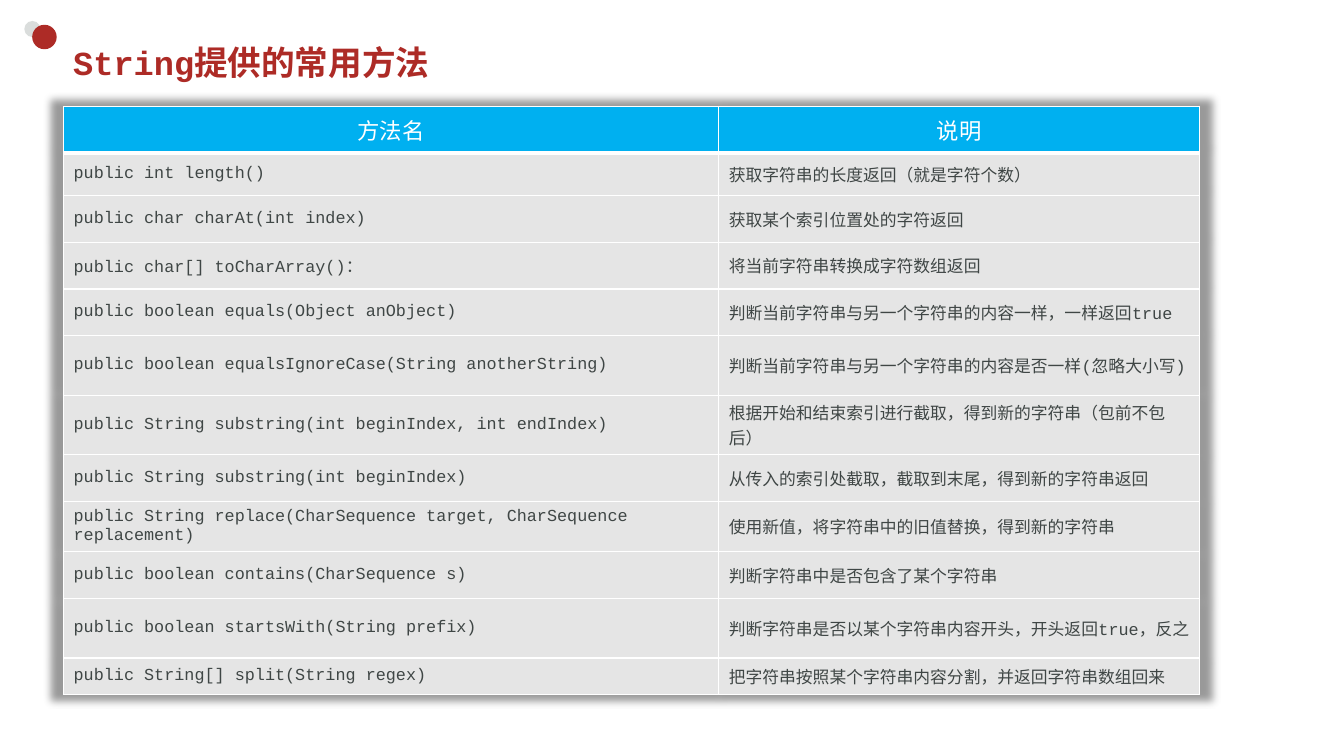
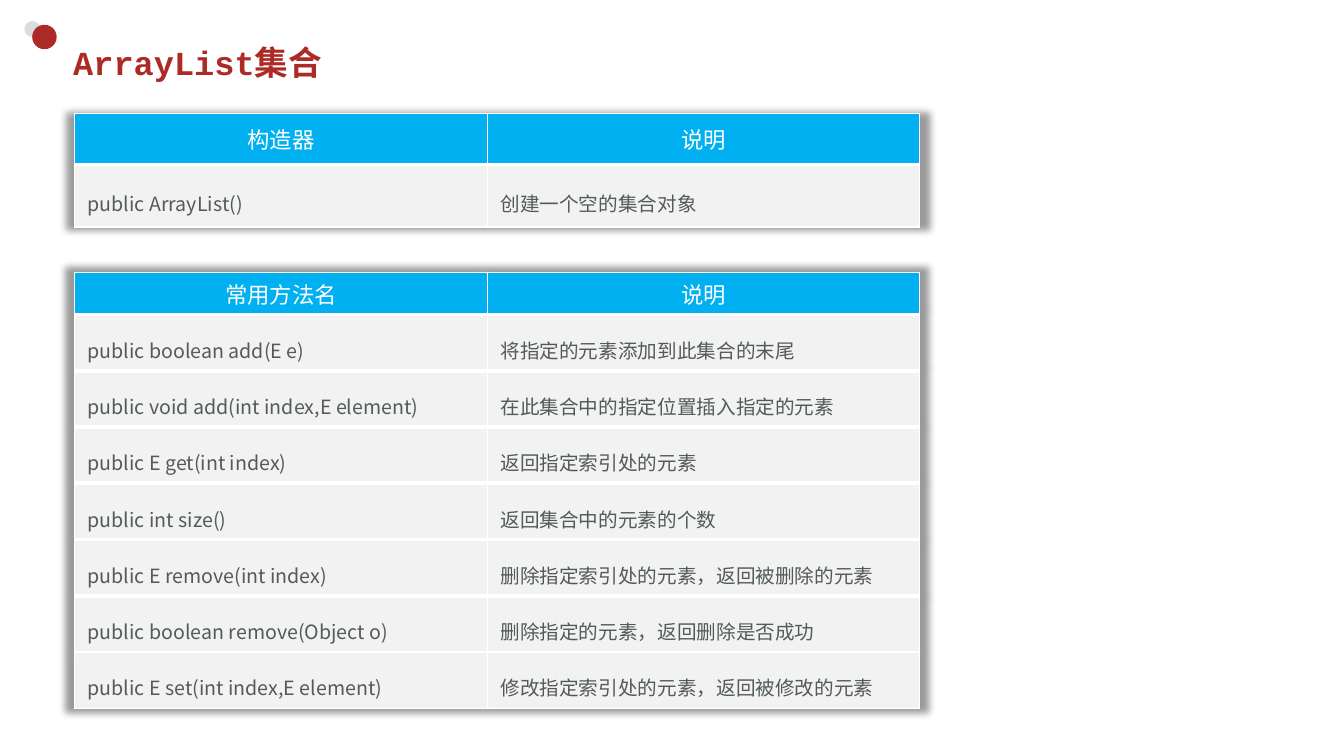
from lxml import etree
from pptx import Presentation
from pptx.dml.color import RGBColor
from pptx.enum.lang import MSO_LANGUAGE_ID as LANG
from pptx.enum.shapes import MSO_SHAPE as SHAPE
from pptx.enum.text import MSO_ANCHOR as ANCHOR, PP_ALIGN as ALIGN
from pptx.oxml import parse_xml
from pptx.oxml.ns import nsdecls, qn
from pptx.util import Pt

# Shared colours and fonts
RED, GREY, WHITE, BLUE = "AD2B26", "DADDDC", "FFFFFF", "00B0F0"
MONO, SANS, HEAD = "Courier New", "Noto Sans CJK JP", "Calibri"

# Body formats of the tables
CODE_BODY = dict(fill="E5E5E5", inset=(7.2, 3.6),
                 text=dict(font=MONO, size=12, color="3F4645"))
PLAIN_BODY = dict(fill="F2F2F2", inset=(9.4, 4.8),
                  text=dict(font=SANS, size=14, color="525B5A", spacing=1.5))

# Heights of code rows with one line and with a wrapped description
SINGLE, WRAPPED = 33.5, 42.4

STRING_METHODS = [
    ("方法名", "说明"),
    ("public int length()", "获取字符串的长度返回（就是字符个数）"),
    ("public char charAt(int index)", "获取某个索引位置处的字符返回"),
    ("public char[] toCharArray()：", "将当前字符串转换成字符数组返回"),
    ("public boolean equals(Object anObject)",
     "判断当前字符串与另一个字符串的内容一样，一样返回true"),
    ("public boolean equalsIgnoreCase(String anotherString)",
     "判断当前字符串与另一个字符串的内容是否一样(忽略大小写)"),
    ("public String substring(int beginIndex, int endIndex)",
     "根据开始和结束索引进行截取，得到新的字符串（包前不包后）"),
    ("public String substring(int beginIndex)",
     "从传入的索引处截取，截取到末尾，得到新的字符串返回"),
    ("public String replace(CharSequence target, CharSequence replacement)",
     "使用新值，将字符串中的旧值替换，得到新的字符串"),
    ("public boolean contains(CharSequence s)", "判断字符串中是否包含了某个字符串"),
    ("public boolean startsWith(String prefix)",
     "判断字符串是否以某个字符串内容开头，开头返回true，反之"),
    ("public String[] split(String regex)",
     "把字符串按照某个字符串内容分割，并返回字符串数组回来"),
]

CONSTRUCTORS = [
    ("构造器", "说明"),
    ("public ArrayList()", "创建一个空的集合对象"),
]

LIST_METHODS = [
    ("常用方法名", "说明"),
    ("public boolean add(E e)", "将指定的元素添加到此集合的末尾"),
    ("public void add(int index,E element)", "在此集合中的指定位置插入指定的元素"),
    ("public E get(int index)", "返回指定索引处的元素"),
    ("public int size()", "返回集合中的元素的个数"),
    ("public E remove(int index)", "删除指定索引处的元素，返回被删除的元素"),
    ("public boolean remove(Object o)", "删除指定的元素，返回删除是否成功"),
    ("public E set(int index,E element)", "修改指定索引处的元素，返回被修改的元素"),
]


def rgb(value):
    return RGBColor.from_string(value)


def write(tf, text, font=MONO, size=12, color=WHITE, bold=False,
          align=ALIGN.LEFT, spacing=None):
    p = tf.paragraphs[0]
    p.alignment = align
    if spacing:
        p.line_spacing = spacing
    r = p.add_run()
    r.text = text
    r.font.name, r.font.size, r.font.bold = font, Pt(size), bold
    r.font.color.rgb = rgb(color)
    r.font.language_id = LANG.SIMPLIFIED_CHINESE


def add_dot(slide, x, y, size, color):
    sp = slide.shapes.add_shape(SHAPE.OVAL, Pt(x), Pt(y), Pt(size), Pt(size))
    sp.shadow.inherit = False
    sp.fill.solid()
    sp.fill.fore_color.rgb = rgb(color)
    sp.line.fill.background()


def add_titled_slide(prs, title):
    slide = prs.slides.add_slide(prs.slide_layouts[6])
    add_dot(slide, 17.4, 15, 11.5, GREY)
    add_dot(slide, 23, 17.7, 17.5, RED)
    sp = slide.shapes.add_textbox(Pt(45.2), Pt(25.4), Pt(846), Pt(37.3))
    tf = sp.text_frame
    tf.word_wrap = True
    tf.vertical_anchor = ANCHOR.MIDDLE
    write(tf, title, size=24, color=RED, bold=True)
    return slide


def set_borders(cell, top, bottom):
    tc_pr = cell._tc.get_or_add_tcPr()
    for side, width in (("L", 1), ("R", 1), ("T", top), ("B", bottom)):
        ln = etree.SubElement(tc_pr, qn("a:ln" + side), w=str(Pt(width)))
        fill = etree.SubElement(ln, qn("a:solidFill"))
        etree.SubElement(fill, qn("a:srgbClr"), val=WHITE)


def add_table_shadow(table):
    table._tbl.tblPr.insert(0, parse_xml(
        f'<a:effectLst {nsdecls("a")}>'
        '<a:outerShdw blurRad="63500" sx="102000" sy="102000" algn="ctr"'
        ' rotWithShape="0"><a:srgbClr val="000000"><a:alpha val="40000"/>'
        '</a:srgbClr></a:outerShdw></a:effectLst>'))


def fill_cell(cell, text, fill, inset, text_format):
    cell.fill.solid()
    cell.fill.fore_color.rgb = rgb(fill)
    cell.vertical_anchor = ANCHOR.MIDDLE
    cell.margin_left = cell.margin_right = Pt(inset[0])
    cell.margin_top = cell.margin_bottom = Pt(inset[1])
    write(cell.text_frame, text, **text_format)


def add_method_table(slide, rows, x, y, widths, heights, body, heavy=1):
    """The first `heavy` inner horizontal rules are 3 pt, the others 1 pt."""
    table = slide.shapes.add_table(len(rows), len(widths), Pt(x), Pt(y),
                                   Pt(sum(widths)), Pt(sum(heights))).table
    table.first_row = table.horz_banding = False
    add_table_shadow(table)
    for column, width in zip(table.columns, widths):
        column.width = Pt(width)
    for row, height in zip(table.rows, heights):
        row.height = Pt(height)

    header = dict(font=HEAD, size=16, align=ALIGN.CENTER)
    rules = [1] + [3] * heavy + [1] * (len(rows) - heavy)
    for i, texts in enumerate(rows):
        for j, text in enumerate(texts):
            cell = table.cell(i, j)
            set_borders(cell, rules[i], rules[i + 1])
            if i == 0:
                fill_cell(cell, text, BLUE, (7.2, 3.6), header)
            else:
                fill_cell(cell, text, body["fill"], body["inset"], body["text"])


def main():
    prs = Presentation()
    prs.slide_width, prs.slide_height = Pt(960), Pt(540)

    # String methods
    slide = add_titled_slide(prs, "String提供的常用方法")
    heights = ([SINGLE, 30] + [SINGLE] * 3 + [WRAPPED] * 2 + [SINGLE] * 3
               + [WRAPPED, 26])
    add_method_table(slide, STRING_METHODS, 45.4, 76, (468, 343.5), heights,
                     CODE_BODY)

    # ArrayList constructors and methods
    slide = add_titled_slide(prs, "ArrayList集合")
    widths = (294.8, 308.8)
    add_method_table(slide, CONSTRUCTORS, 53.3, 81.2, widths, [36.2, 44.8],
                     PLAIN_BODY)
    add_method_table(slide, LIST_METHODS, 53.3, 194.4, widths,
                     [30.2] + [40.2] * 7, PLAIN_BODY, heavy=6)

    prs.save("out.pptx")


if __name__ == "__main__":
    main()
